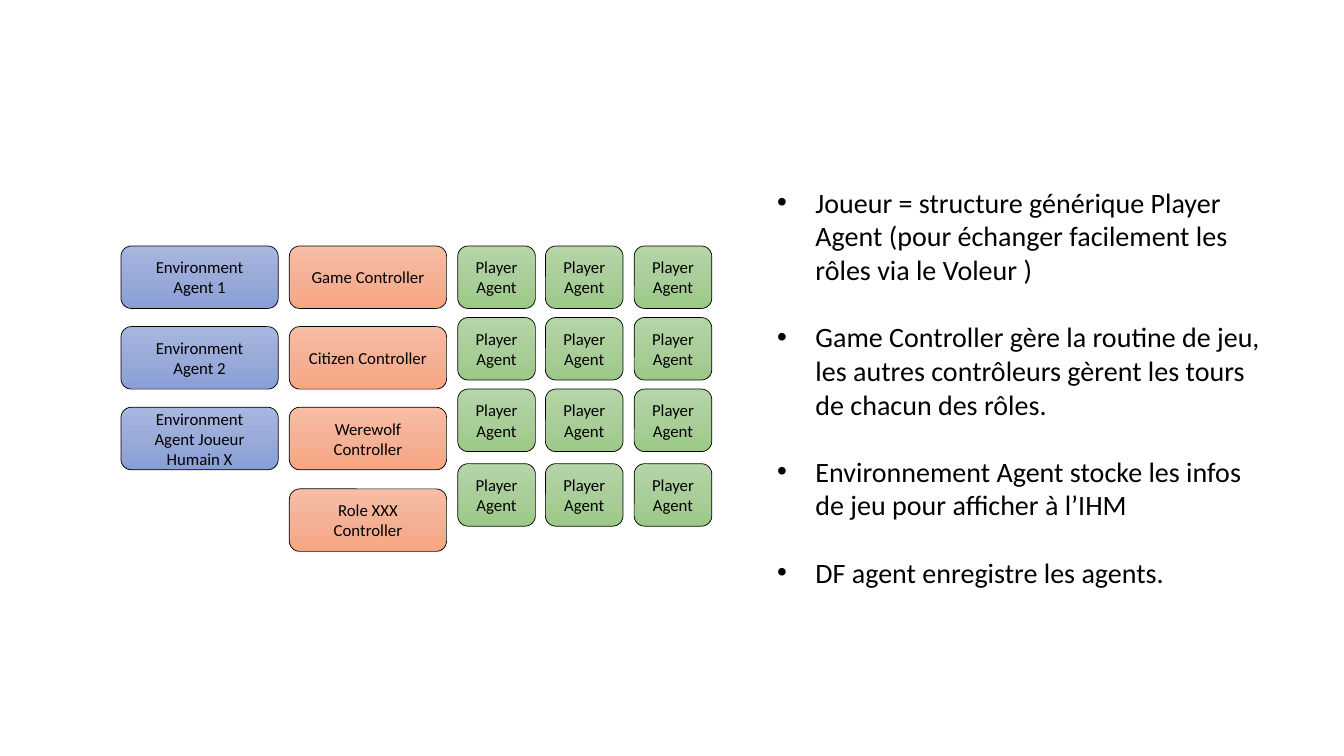
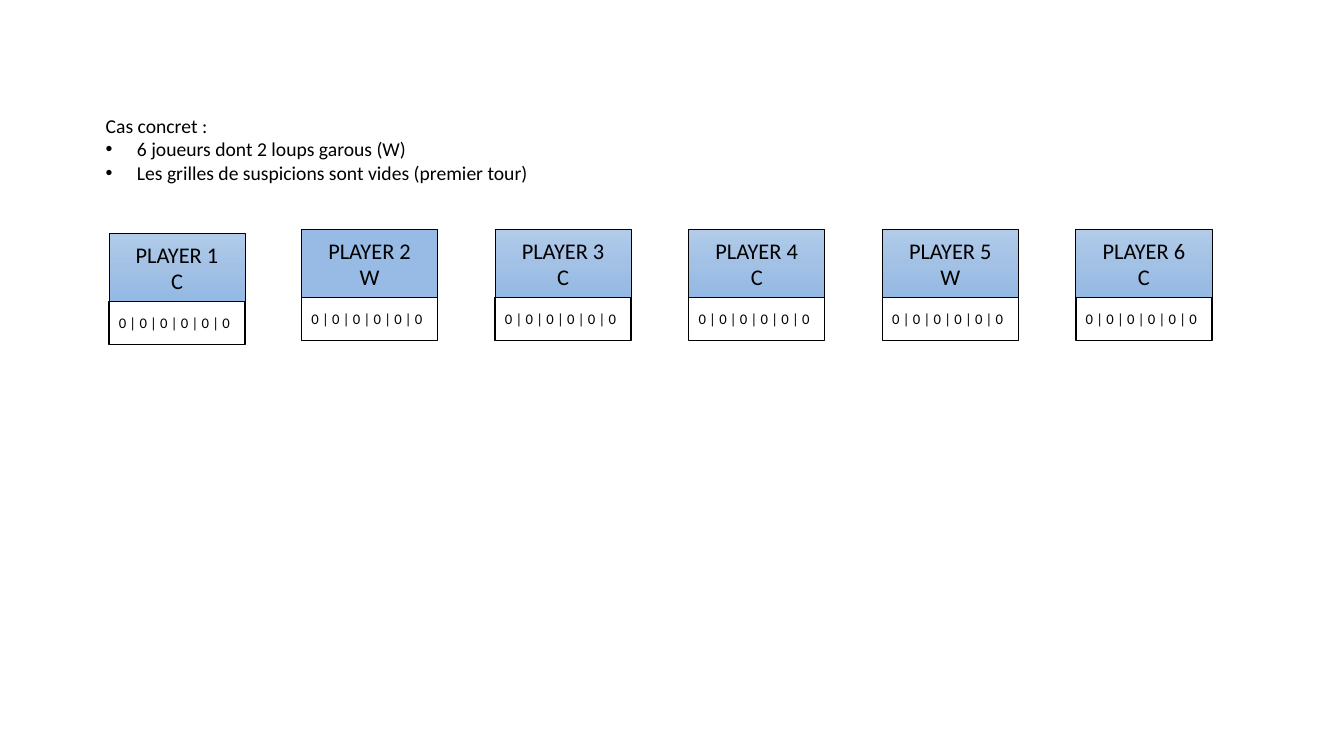
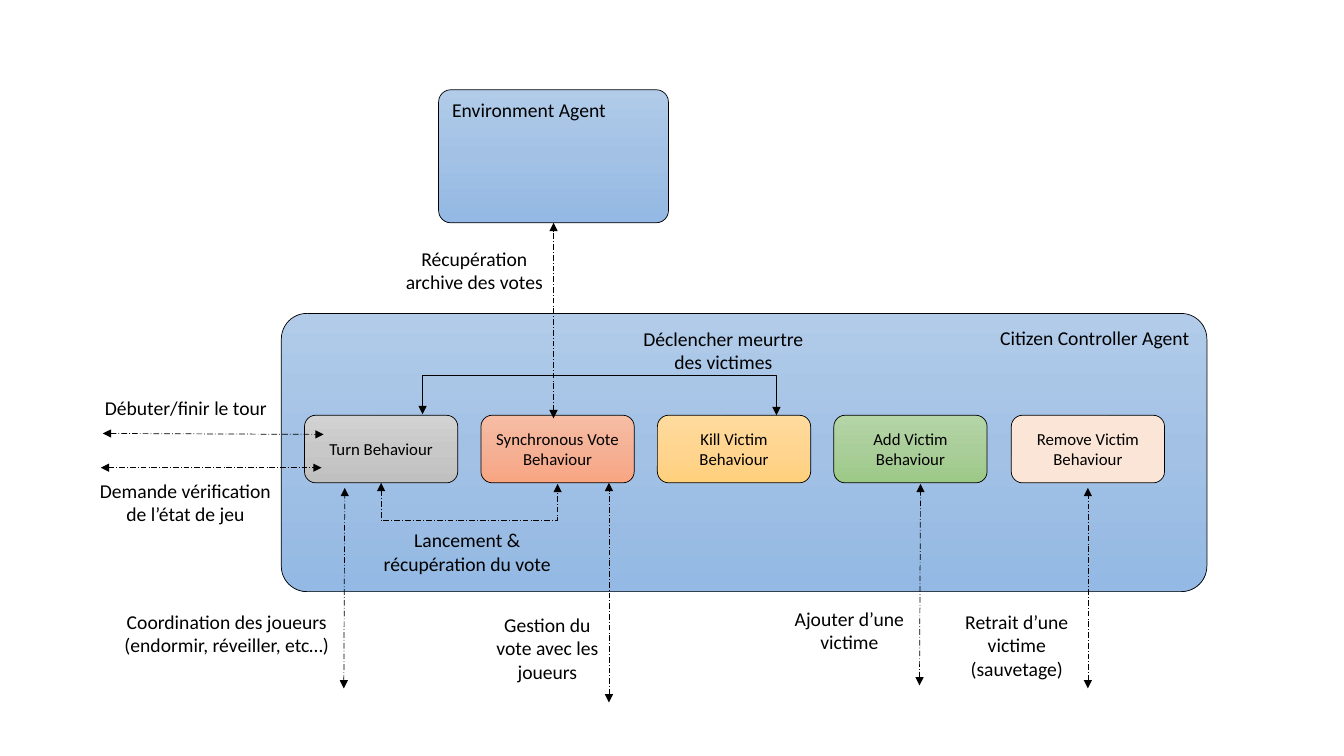
from copy import deepcopy

from lxml.etree import SubElement
from pptx import Presentation
from pptx.dml.color import RGBColor
from pptx.enum.dml import MSO_LINE
from pptx.enum.shapes import MSO_CONNECTOR, MSO_SHAPE
from pptx.enum.text import MSO_ANCHOR, MSO_AUTO_SIZE, PP_ALIGN
from pptx.oxml.ns import qn
from pptx.util import Pt

EMU_PER_PX = 9144
FONT = "Calibri"
BLACK = "000000"
WHITE = "FFFFFF"
PEACH = "FBE5D6"
FLAT_BLUE = "97BBE4"
ORANGE = ("F7BDA5", "F5B196", "F8A582")
GREEN = ("B5D5A7", "AACE9A", "9CC987")
INDIGO = ("A8B7DF", "9AABD9", "889ED7")
BLUE = ("B1CBE9", "A3C1E5", "93B9E4")
GREY = ("D2D2D2", "C8C8C8", "C0C0C0")
GOLD = ("FFDB9E", "FFD590", "FFD07C")


def px(*lengths):
    """Turn px lengths into a list of EMU."""
    return [round(length * EMU_PER_PX) for length in lengths]


def color(value):
    """Return the colour for a hex string."""
    return RGBColor.from_string(value)


def add_slide(presentation):
    """Add a slide with the blank layout."""
    return presentation.slides.add_slide(presentation.slide_layouts[6])


def style_paragraph(paragraph, text, size, align):
    """Write black text into a paragraph."""
    paragraph.text = text
    paragraph.alignment = align
    paragraph.font.name = FONT
    paragraph.font.size = Pt(size)
    paragraph.font.color.rgb = color(BLACK)


def fill_frame(frame, lines, size, align):
    """Write one paragraph per line into a text frame."""
    frame.word_wrap = True
    for index, line in enumerate(lines):
        paragraph = frame.add_paragraph() if index else frame.paragraphs[0]
        style_paragraph(paragraph, line, size, align)


def set_fill(shape, fill):
    """Fill a shape with a hex colour or a vertical gradient."""
    if isinstance(fill, str):
        shape.fill.solid()
        shape.fill.fore_color.rgb = color(fill)
        return
    shape.fill.gradient()
    shape.fill.gradient_angle = 270
    stop_list = shape._element.spPr.find(".//" + qn("a:gsLst"))
    stop_list.insert(1, deepcopy(stop_list[0]))
    for stop, value, position in zip(shape.fill.gradient_stops, fill, (0, 0.5, 1)):
        stop.color.rgb = color(value)
        stop.position = position


def add_box(slide, box, text, fill, size=12, kind=MSO_SHAPE.ROUNDED_RECTANGLE,
            align=PP_ALIGN.CENTER, anchor=MSO_ANCHOR.MIDDLE, line_width=0.5):
    """Add an outlined box with text."""
    shape = slide.shapes.add_shape(kind, *px(*box))
    shape.shadow.inherit = False
    set_fill(shape, fill)
    shape.line.color.rgb = color(BLACK)
    shape.line.width = Pt(line_width)
    shape.text_frame.vertical_anchor = anchor
    fill_frame(shape.text_frame, text.split("\n"), size, align)
    return shape


def add_agent(slide, box, name, align):
    """Add a large agent box with its name at the top."""
    shape = add_box(slide, box, name, BLUE, 14, align=align, anchor=MSO_ANCHOR.TOP)
    shape.adjustments[0] = 0.092


def add_text(slide, box, lines, size=14, align=PP_ALIGN.CENTER):
    """Add a text box and return its text frame."""
    frame = slide.shapes.add_textbox(*px(*box)).text_frame
    fill_frame(frame, lines, size, align)
    frame.auto_size = MSO_AUTO_SIZE.SHAPE_TO_FIT_TEXT
    return frame


def add_bullet(paragraph, indent):
    """Give a paragraph a bullet with a hanging indent."""
    properties = paragraph._p.get_or_add_pPr()
    margin = px(indent)[0]
    properties.set("marL", str(margin))
    properties.set("indent", str(-margin))
    font = properties.makeelement(qn("a:buFont"), {"typeface": "Arial"})
    bullet = properties.makeelement(qn("a:buChar"), {"char": "•"})
    defaults = properties.find(qn("a:defRPr"))
    defaults.addprevious(font)
    defaults.addprevious(bullet)


def add_arrow(slide, ends, kind=MSO_CONNECTOR.STRAIGHT, dashed=True):
    """Add a connector with an arrowhead at both ends."""
    connector = slide.shapes.add_connector(kind, *px(*ends))
    connector.line.color.rgb = color(BLACK)
    connector.line.width = Pt(0.5)
    if dashed:
        connector.line.dash_style = MSO_LINE.LONG_DASH_DOT
    properties = connector._element.spPr
    for tag in ("a:headEnd", "a:tailEnd"):
        SubElement(properties.find(qn("a:ln")), qn(tag), type="triangle")
    SubElement(properties, qn("a:effectLst"))
    return connector


def add_bracket(slide, left, right, top, reach, dashed):
    """Add a bent arrow that runs reach px below or above its ends."""
    middle = (left + right) / 2
    half = (right - left) / 2
    ends = (middle - 0.5, top + 0.5 - half, middle + 0.5, top + 0.5 + half)
    properties = add_arrow(slide, ends, MSO_CONNECTOR.ELBOW, dashed)._element.spPr
    transform = properties.find(qn("a:xfrm"))
    transform.set("rot", "16200000")
    transform.set("flipH", "1")
    guides = properties.find(".//" + qn("a:avLst"))
    SubElement(guides, qn("a:gd"), name="adj1", fmla=f"val {reach * 100000}")


def build_agents(presentation):
    """Build the overview of agents and controllers."""
    slide = add_slide(presentation)
    environments = ("Environment Agent 1", "Environment Agent 2",
                    "Environment Agent Joueur Humain X")
    controllers = ("Game Controller", "Citizen Controller",
                   "Werewolf Controller", "Role XXX Controller")
    for left, names, fill in ((120, environments, INDIGO), (287, controllers, ORANGE)):
        for name, top in zip(names, (244, 324, 404, 485)):
            add_box(slide, (left, top, 156, 62), name, fill)
    for top in (244, 315, 386, 460):
        for left in (454, 541, 629):
            add_box(slide, (left, top, 77, 62), "Player Agent", GREEN)
    frame = add_text(slide, (761, 179, 507, 414), (
        "Joueur = structure générique Player Agent (pour échanger facilement les rôles via le Voleur )",
        "Game Controller gère la routine de jeu, les autres contrôleurs gèrent les tours de chacun des rôles.",
        "Environnement Agent stocke les infos de jeu pour afficher à l’IHM",
        "DF agent enregistre les agents.",
    ), 20, PP_ALIGN.LEFT)
    for index, paragraph in enumerate(frame.paragraphs):
        add_bullet(paragraph, 38)
        if index:
            paragraph.space_before = Pt(24)


def build_players(presentation):
    """Build the example with six players."""
    slide = add_slide(presentation)
    for index, role in enumerate("CWCCWC"):
        left = 108 + 959 * index // 5
        top = 228 if index else 232
        fill = FLAT_BLUE if index == 1 else BLUE
        add_box(slide, (left, top, 135, 67), f"PLAYER {index + 1}\n{role}", fill, 16,
                MSO_SHAPE.RECTANGLE)
        add_box(slide, (left, top + 67, 135, 43), " | ".join("0" * 6), WHITE, 10.5,
                MSO_SHAPE.RECTANGLE, PP_ALIGN.LEFT, line_width=1)
    frame = add_text(slide, (95, 108, 496, 81), (
        "Cas concret :",
        "6 joueurs dont 2 loups garous (W)",
        "Les grilles de suspicions sont vides (premier tour)",
    ), align=PP_ALIGN.LEFT)
    for paragraph in frame.paragraphs[1:]:
        add_bullet(paragraph, 31)


def build_citizen_controller(presentation):
    """Build the diagram of the citizen controller's behaviours."""
    slide = add_slide(presentation)
    add_agent(slide, (279, 311, 918, 276), "Citizen Controller Agent", PP_ALIGN.RIGHT)
    add_agent(slide, (435, 89, 228, 132), "Environment Agent", PP_ALIGN.LEFT)
    behaviours = (("Turn", GREY), ("Synchronous Vote", ORANGE), ("Kill Victim", GOLD),
                  ("Add Victim", GREEN), ("Remove Victim", PEACH))
    for index, (name, fill) in enumerate(behaviours):
        left = 302 + 1753 * index // 10
        add_box(slide, (left, 412, 152, 67), f"{name} Behaviour", fill)
    for ends in (
        (604, 697, 604, 479),
        (102, 430, 321, 431),
        (100, 464, 319, 464),
        (549, 415, 549, 221),
        (341, 683, 342, 484),
        (912, 680, 913, 480),
        (1079, 683, 1079, 484),
    ):
        add_arrow(slide, ends)
    add_bracket(slide, 378, 553, 479, 38, True)
    add_bracket(slide, 419, 770, 411, -39, False)
    for box, label in (
        ((476, 603, 134, 81), "Gestion du vote avec les joueurs"),
        ((68, 388, 233, 34), "Débuter/finir le tour"),
        ((368, 519, 191, 57), "Lancement & récupération du vote"),
        ((382, 240, 177, 57), "Récupération archive des votes"),
        ((96, 600, 258, 57), "Coordination des joueurs (endormir, réveiller, etc…)"),
        ((622, 319, 191, 57), "Déclencher meurtre des victimes"),
        ((759, 597, 167, 57), "Ajouter d’une victime"),
        ((925, 600, 167, 81), "Retrait d’une victime (sauvetage)"),
        ((86, 470, 196, 57), "Demande vérification de l’état de jeu"),
    ):
        add_text(slide, box, (label,))


def main():
    """Build and save the presentation."""
    presentation = Presentation()
    presentation.slide_width, presentation.slide_height = px(1333, 750)
    build_agents(presentation)
    build_players(presentation)
    build_citizen_controller(presentation)
    presentation.save("out.pptx")


if __name__ == "__main__":
    main()
